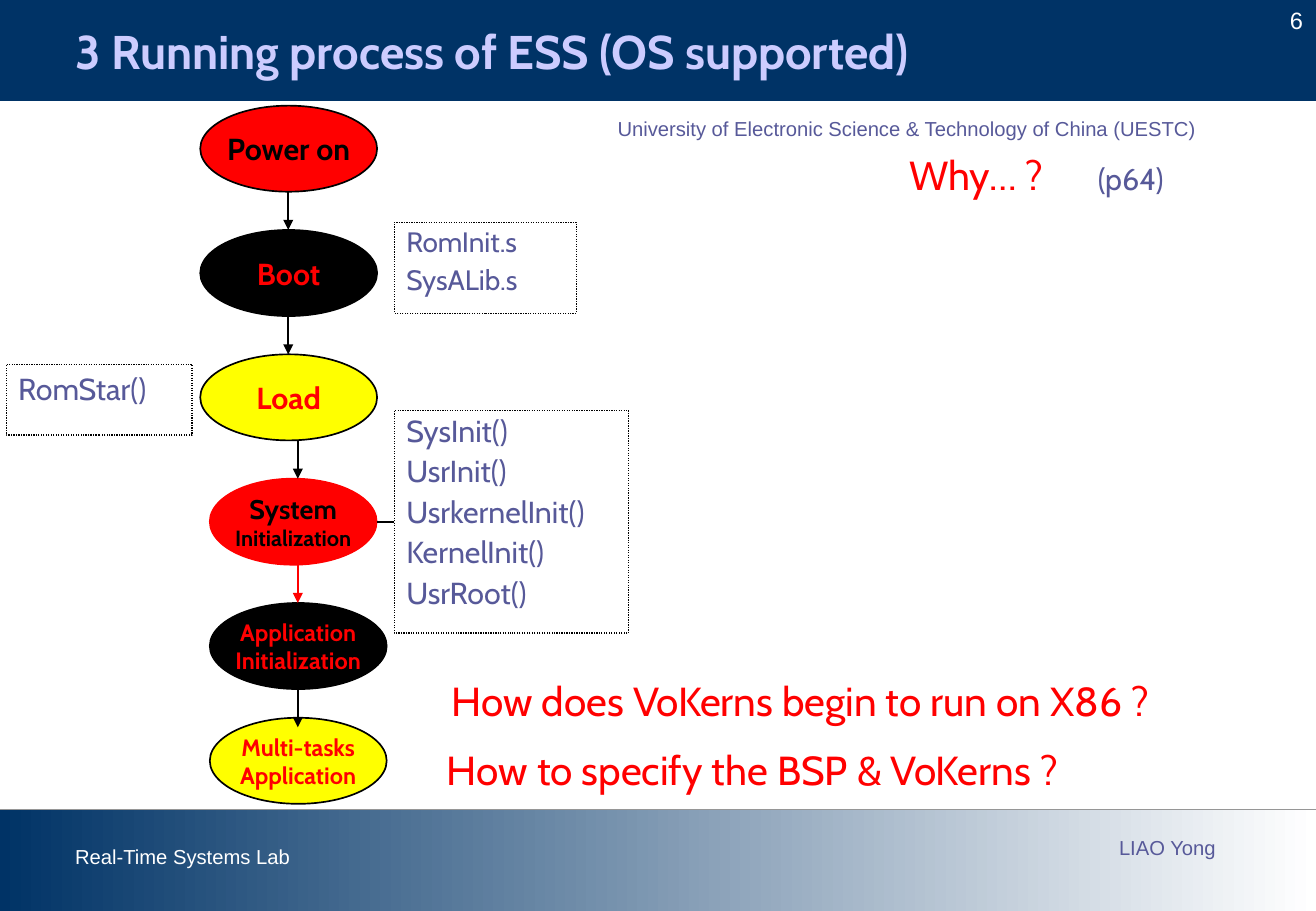
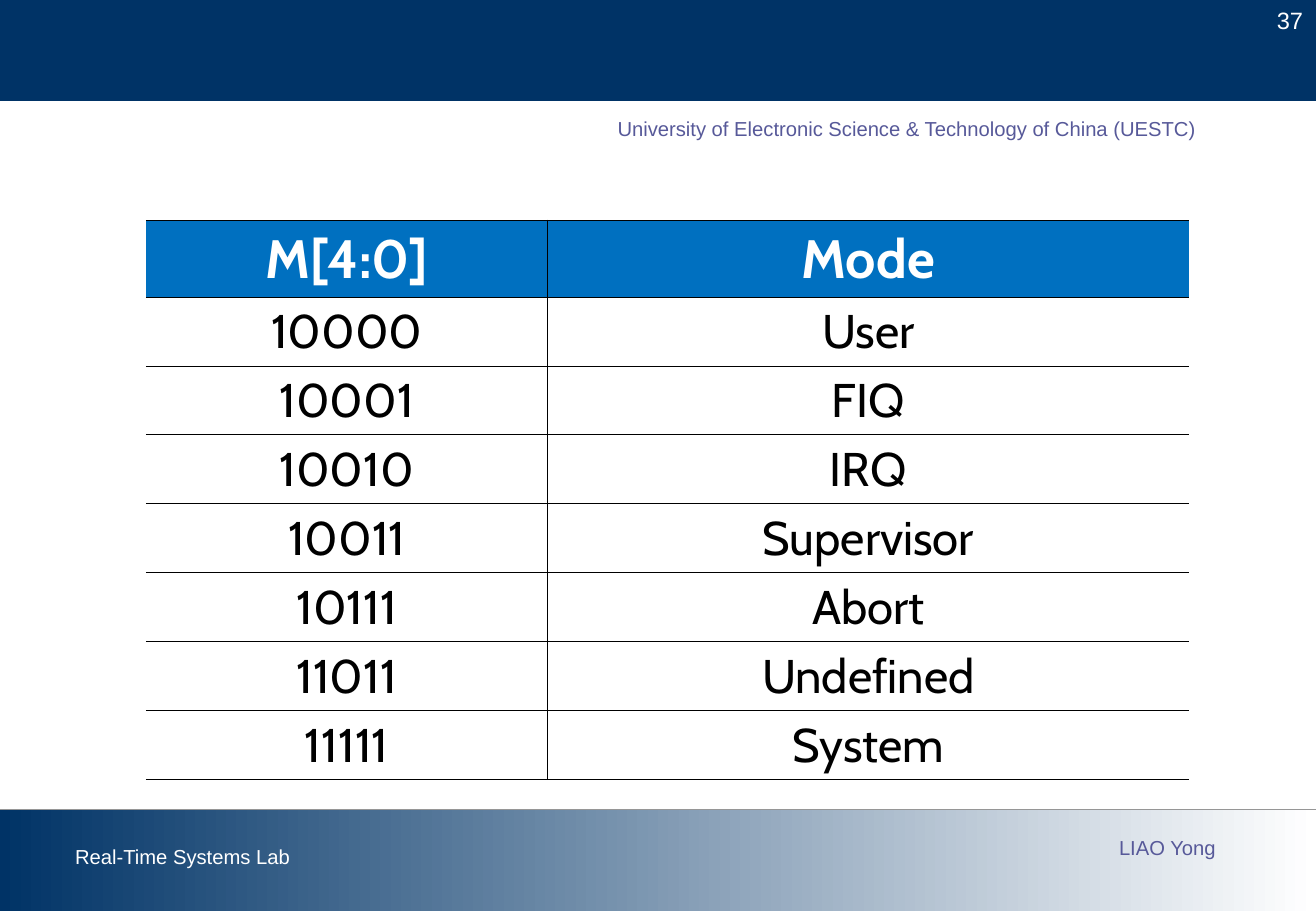
from dataclasses import dataclass
from typing import NamedTuple

from lxml import etree
from pptx import Presentation
from pptx import util as u
from pptx.dml.color import RGBColor as Rgb
from pptx.enum import dml, shapes, text
from pptx.oxml.ns import qn

Cm, Pt = u.Cm, u.Pt
LEFT, MID, RIGHT = text.PP_ALIGN.LEFT, text.PP_ALIGN.CENTER, text.PP_ALIGN.RIGHT


@dataclass(frozen=True)
class Theme:
    navy: Rgb = Rgb(0x00, 0x33, 0x66)
    blue: Rgb = Rgb(0x00, 0x70, 0xC0)
    lilac: Rgb = Rgb(0xCC, 0xCC, 0xFF)
    violet: Rgb = Rgb(0x57, 0x59, 0x99)
    grey: Rgb = Rgb(0x96, 0x96, 0x96)
    white: Rgb = Rgb(0xFF, 0xFF, 0xFF)
    black: Rgb = Rgb(0x00, 0x00, 0x00)
    red: Rgb = Rgb(0xFF, 0x00, 0x00)
    yellow: Rgb = Rgb(0xFF, 0xFF, 0x00)
    body: str = "Cabin"
    plain: str = "Arial"
    title: float = 28
    ask: float = 24
    step: float = 18
    page: float = 14
    foot: float = 12
    head: float = 32
    cell: float = 28


T = Theme()
WIDE, HIGH, BAND = 27.53, 19.05, 2.11
FOOT = 16.93


class Box(NamedTuple):
    x: float
    y: float
    w: float
    h: float


class Step(NamedTuple):
    lines: str
    sizes: tuple[float, ...]
    fill: Rgb
    edge: Rgb
    ink: Rgb
    x: float
    y: float
    w: float = 3.7


class Note(NamedTuple):
    lines: str
    box: Box
    size: float
    pitch: float = 0.9


class Label(NamedTuple):
    words: str
    box: Box
    ink: Rgb
    size: float = T.foot
    face: str = T.plain
    align: text.PP_ALIGN = LEFT
    pitch: float = 1.0


TOP, OVAL, GAP = 2.21, 1.8, 0.8
PITCH = OVAL + GAP
SIDE, INNER = 4.19, 4.39

STEPS = [
    Step("Power on", (T.step,), T.red, T.black, T.black, SIDE, TOP),
    Step("Boot", (T.step,), T.black, T.black, T.red, SIDE, TOP + PITCH),
    Step("Load", (T.step,), T.yellow, T.black, T.red, SIDE, TOP + 2 * PITCH),
    Step("System\nInitialization", (16, 13), T.red, T.red, T.black,
         INNER, TOP + 3 * PITCH, 3.49),
    Step("Application\nInitialization", (14, 14), T.black, T.black, T.red,
         INNER, TOP + 4 * PITCH),
    Step("Multi-tasks\nApplication", (14, 14), T.yellow, T.black, T.red,
         INNER, 15.01),
]
ARROWS = [6.03, 6.03, 6.23, 6.23, 6.23]

NOTES = [
    Note("RomInit.s\nSysALib.s", Box(8.25, 4.65, 3.81, 1.9), 16.6),
    Note("RomStar()", Box(0.13, 7.62, 3.89, 1.48), T.step, 1.0),
    Note("SysInit()\nUsrInit()\nUsrkernelInit()\nKernelInit()\nUsrRoot()",
         Box(8.25, 8.58, 4.9, 4.66), T.step),
]

ASKS = [
    Label("How does VoKerns begin to run on X86 ?", Box(9.2, 14.12, 16.5, 1.17),
          T.red, T.ask, T.body, pitch=0.9),
    Label("How to specify the BSP & VoKerns ?", Box(9.1, 15.57, 14.5, 1.17),
          T.red, T.ask, T.body, pitch=0.9),
]
WHY = Label("Why… ?", Box(18.77, 3.12, 6.4, 1.17), T.red, T.ask, T.body, pitch=0.9)

FRAME = [
    Label("Real-Time Systems Lab", Box(1.32, 17.53, 5.13, 0.76), T.white),
    Label("LIAO Yong", Box(23.16, 17.35, 2.57, 0.76), T.violet),
    Label("University of Electronic Science & Technology of China (UESTC)",
          Box(12.67, 2.31, 14.5, 0.76), T.violet),
]

MODES = [
    ("M[4:0]", "Mode"),
    ("10000", "User"),
    ("10001", "FIQ"),
    ("10010", "IRQ"),
    ("10011", "Supervisor"),
    ("10111", "Abort"),
    ("11011", "Undefined"),
    ("11111", "System"),
]


def place(box: Box) -> tuple[int, ...]:
    return tuple(Cm(v) for v in box)


def ink(run, size: float, color: Rgb, face: str = T.body, bold: bool = False) -> None:
    font = run.font
    font.size, font.name, font.bold = Pt(size), face, bold
    font.color.rgb = color


def form(slide, kind, box: Box):
    """Add an unfilled preset shape without a shadow."""
    shape = slide.shapes.add_shape(kind, *place(box))
    shape.shadow.inherit = False
    shape.fill.background()
    return shape


def rule(slide, start: tuple[float, float], end: tuple[float, float],
         color: Rgb, width: float = 1, arrow: bool = False):
    line = slide.shapes.add_connector(
        shapes.MSO_CONNECTOR.STRAIGHT, *(Cm(v) for v in start + end))
    line.line.color.rgb = color
    line.line.width = Pt(width)
    if arrow:
        etree.SubElement(line.line._get_or_add_ln(), qn("a:tailEnd"), type="triangle")
    etree.SubElement(line._element.spPr, qn("a:effectLst"))
    return line


def write(slide, label: Label):
    """Add a one-line text box and return its paragraph."""
    frame = slide.shapes.add_textbox(*place(label.box)).text_frame
    frame.word_wrap = label.align == RIGHT
    frame.text = label.words
    para = frame.paragraphs[0]
    para.alignment, para.line_spacing = label.align, label.pitch
    ink(para.runs[0], label.size, label.ink, label.face)
    return para


def brand(deck, slide) -> None:
    """Draw the bands and footers, then hand them to the slide master."""
    rect = shapes.MSO_SHAPE.RECTANGLE
    rule(slide, (0, BAND), (WIDE, BAND), T.white, 0.75)
    top = form(slide, rect, Box(0, 0, WIDE, BAND))
    top.fill.solid()
    top.fill.fore_color.rgb = T.navy
    base = form(slide, rect, Box(0, FOOT, WIDE, HIGH - FOOT))
    base.fill.gradient()
    base.fill.gradient_angle = 0
    for stop, color in zip(base.fill.gradient_stops, (T.navy, T.white)):
        stop.color.rgb = color
    for band in (top, base):
        band.line.fill.background()
    rule(slide, (0, FOOT), (WIDE, FOOT), T.grey, 0.75)
    for label in FRAME:
        write(slide, label)
    tree = deck.slide_master.shapes._spTree
    parts = [s for s in slide.shapes if not s.is_placeholder]
    for num, part in enumerate(parts, 101):
        part._element.find(".//" + qn("p:cNvPr")).set("id", str(num))
        tree.append(part._element)


def number(slide, page: int) -> None:
    write(slide, Label(str(page), Box(25.91, 0, 1.6, 0.84), T.white, T.page,
                       align=RIGHT))


def oval(slide, step: Step) -> None:
    shape = form(slide, shapes.MSO_SHAPE.OVAL, Box(step.x, step.y, step.w, OVAL))
    shape.fill.solid()
    shape.fill.fore_color.rgb = step.fill
    shape.line.color.rgb = step.edge
    shape.line.width = Pt(1)
    frame = shape.text_frame
    frame.word_wrap = False
    frame.vertical_anchor = text.MSO_ANCHOR.MIDDLE
    frame.text = step.lines
    for para, size in zip(frame.paragraphs, step.sizes):
        para.alignment = MID
        ink(para.runs[0], size, step.ink, bold=True)


def panel(slide, note: Note):
    """Add a dotted box that lists routines."""
    shape = form(slide, shapes.MSO_SHAPE.RECTANGLE, note.box)
    shape.line.color.rgb = T.black
    shape.line.width = Pt(0.75)
    shape.line.dash_style = dml.MSO_LINE.ROUND_DOT
    frame = shape.text_frame
    frame.word_wrap = True
    frame.vertical_anchor = text.MSO_ANCHOR.TOP
    frame.text = note.lines
    for row, para in enumerate(frame.paragraphs):
        para.alignment, para.line_spacing = LEFT, note.pitch
        if row:
            para.space_before = Pt(4.5)
        ink(para.runs[0], note.size, T.violet)
    return shape


def flow(slide) -> None:
    """Fill the slide on the start-up sequence."""
    title = slide.shapes.title
    title.left, title.top, title.width, title.height = place(Box(1.32, 0, 24.08, BAND))
    frame = title.text_frame
    frame.text = "3 Running process of ESS (OS supported)"
    frame.vertical_anchor = text.MSO_ANCHOR.MIDDLE
    frame.paragraphs[0].alignment = LEFT
    ink(frame.paragraphs[0].runs[0], T.title, T.lilac, bold=True)

    para = write(slide, WHY)
    tabs = etree.SubElement(para._p.get_or_add_pPr(), qn("a:tabLst"))
    etree.SubElement(tabs, qn("a:tab"), pos=str(Cm(3.95)), algn="l")
    run = para.add_run()
    run.text = "\t(p64)"
    ink(run, T.step, T.violet)
    for ask in ASKS:
        write(slide, ask)

    for step in STEPS:
        oval(slide, step)
    for x, step in zip(ARROWS, STEPS):
        low = step.y + OVAL
        rule(slide, (x, low), (x, low + GAP), step.edge, arrow=True)

    calls = [panel(slide, note) for note in NOTES][-1]
    init = STEPS[3]
    mid = init.y + OVAL / 2
    link = rule(slide, (NOTES[-1].box.x, mid), (init.x + init.w, mid), T.black)
    link.begin_connect(calls, 1)


def edge(cell, sides: dict[str, bool]) -> None:
    """Draw the named sides of a cell black, or clear them."""
    props = cell._tc.get_or_add_tcPr()
    for side, shown in sides.items():
        line = etree.SubElement(props, qn("a:ln" + side), w=str(Pt(0.45)))
        if shown:
            fill = etree.SubElement(line, qn("a:solidFill"))
            etree.SubElement(fill, qn("a:srgbClr"), val=str(T.black))
        else:
            etree.SubElement(line, qn("a:noFill"))


def modes(slide) -> None:
    """Fill the slide with the table of processor modes."""
    head, row = 1.6, 1.44
    wide = (8.41, 13.41)
    box = Box(3.05, 4.6, sum(wide), head + row * (len(MODES) - 1))
    table = slide.shapes.add_table(len(MODES), len(wide), *place(box)).table
    table.horz_banding = False
    for col, width in zip(table.columns, wide):
        col.width = Cm(width)
    for r, words in enumerate(MODES):
        top = r == 0
        table.rows[r].height = Cm(head if top else row)
        for c, word in enumerate(words):
            cell = table.cell(r, c)
            edge(cell, {"L": c > 0, "R": c == 0, "T": True, "B": True})
            if top:
                cell.fill.solid()
                cell.fill.fore_color.rgb = T.blue
            else:
                cell.fill.background()
            cell.margin_left = cell.margin_right = Cm(0.2)
            cell.vertical_anchor = text.MSO_ANCHOR.MIDDLE
            cell.text_frame.text = word
            para = cell.text_frame.paragraphs[0]
            para.alignment = MID
            ink(para.runs[0], T.head if top else T.cell,
                T.white if top else T.black, bold=top)


def main() -> None:
    deck = Presentation()
    deck.slide_width, deck.slide_height = Cm(WIDE), Cm(HIGH)
    first = deck.slides.add_slide(deck.slide_layouts[5])
    brand(deck, first)
    number(first, 6)
    flow(first)
    second = deck.slides.add_slide(deck.slide_layouts[6])
    number(second, 37)
    modes(second)
    deck.save("out.pptx")


if __name__ == "__main__":
    main()
